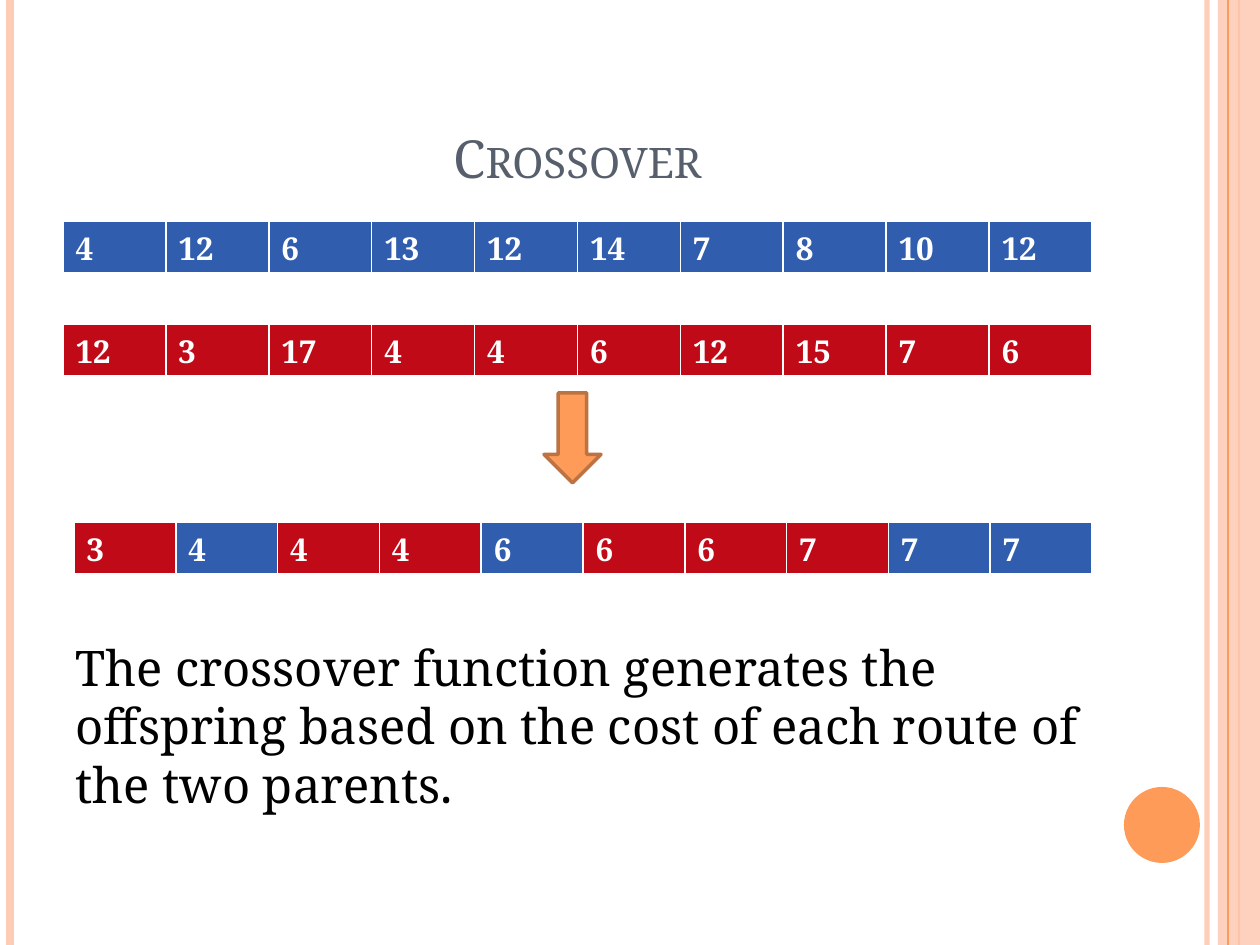
"""Build the Crossover slide with two parent routes and their offspring."""
import pptx
import pptx.util
import pptx.enum.shapes
import pptx.enum.text
import pptx.dml.color
import pptx.oxml.ns
from lxml import etree

SCALE = 914400 // 126
FONT = "Noto Serif"
COLORS = {
    "blue": "305DAE", "red": "C00A17", "orange": "FE9B58", "brown": "BC7341",
    "peach": "FECBB5", "slate": "575F6D", "white": "FFFFFF", "black": "000000",
}
TITLE = "Crossover"
BODY = ("The crossover function generates the offspring based on the cost "
        "of each route of the two parents.")
ROUTES = [
    (63, 221, 1029, [4, 12, 6, 13, 12, 14, 7, 8, 10, 12], ["blue"] * 10),
    (63, 324, 1029, [12, 3, 17, 4, 4, 6, 12, 15, 7, 6], ["red"] * 10),
    (74, 522, 1018, [3, 4, 4, 4, 6, 6, 6, 7, 7, 7],
     ["red", "blue", "red", "red", "blue", "red", "red", "red", "blue", "blue"]),
]
ROW_HEIGHT = 52
SLIDE_HEIGHT = 945
SHAPES = pptx.enum.shapes.MSO_SHAPE


def px(value):
    return pptx.util.Emu(round(value * SCALE))


def rgb(name):
    return pptx.dml.color.RGBColor.from_string(COLORS[name])


def set_alpha(element, percent):
    color = next(element.iter(pptx.oxml.ns.qn("a:srgbClr")))
    etree.SubElement(color, pptx.oxml.ns.qn("a:alpha")).set("val", str(percent * 1000))


def style(span, size, color, bold=False):
    span.font.name = FONT
    span.font.size = pptx.util.Pt(size)
    span.font.bold = bold
    span.font.color.rgb = rgb(color)


def add_rule(x, color, width, alpha=100):
    rule = page.shapes.add_connector(
        pptx.enum.shapes.MSO_CONNECTOR.STRAIGHT, px(x), 0, px(x), px(SLIDE_HEIGHT))
    rule.line.color.rgb = rgb(color)
    rule.line.width = pptx.util.Pt(width)
    properties = rule._element.spPr
    if alpha < 100:
        set_alpha(properties, alpha)
    etree.SubElement(properties, pptx.oxml.ns.qn("a:effectLst"))


def add_shape(kind, left, top, width, height, color):
    shape = page.shapes.add_shape(kind, px(left), px(top), px(width), px(height))
    shape.shadow.inherit = False
    shape.fill.solid()
    shape.fill.fore_color.rgb = rgb(color)
    shape.line.fill.background()
    return shape


def add_text(text, left, top, width, height, size, color):
    box = page.shapes.add_textbox(px(left), px(top), px(width), px(height))
    box.text_frame.word_wrap = True
    box.text_frame.text = text
    para = box.text_frame.paragraphs[0]
    style(para.runs[0], size, color)
    return box.text_frame


def add_route(left, top, width, stops, colors):
    frame = page.shapes.add_table(
        1, len(stops), px(left), px(top), px(width), px(ROW_HEIGHT))
    table = frame.table
    for column, cell, stop, color in zip(table.columns, table.rows[0].cells, stops, colors):
        column.width = px(width / len(stops))
        cell.fill.solid()
        cell.fill.fore_color.rgb = rgb(color)
        cell.text_frame.text = str(stop)
        style(cell.text_frame.paragraphs[0].runs[0], 18, "white", True)


deck = pptx.Presentation()
deck.slide_width, deck.slide_height = px(1260), px(SLIDE_HEIGHT)
page = deck.slides.add_slide(deck.slide_layouts[6])

add_rule(1207, "peach", 3, 93)
add_rule(10, "peach", 4.5)
add_rule(1239, "orange", 1.5)
band = add_shape(SHAPES.RECTANGLE, 1218, 0, 42, SLIDE_HEIGHT, "peach")
set_alpha(band._element.spPr, 87)
add_rule(1228, "orange", 0.75)
add_shape(SHAPES.OVAL, 1124, 787, 76, 76, "orange")

title = add_text(TITLE, 63, 38, 1029, 157, 30, "slate")
title.vertical_anchor = pptx.enum.text.MSO_ANCHOR.BOTTOM
title.paragraphs[0].alignment = pptx.enum.text.PP_ALIGN.CENTER
title.paragraphs[0].runs[0].font._element.set("cap", "small")

for route in ROUTES:
    add_route(*route)

arrow = add_shape(SHAPES.DOWN_ARROW, 544, 393, 57, 90, "orange")
arrow.line.color.rgb = rgb("brown")
arrow.line.width = pptx.util.Pt(2)

body = add_text(BODY, 63, 631, 1029, 190, 28, "black")
body.auto_size = pptx.enum.text.MSO_AUTO_SIZE.SHAPE_TO_FIT_TEXT

deck.save("out.pptx")
